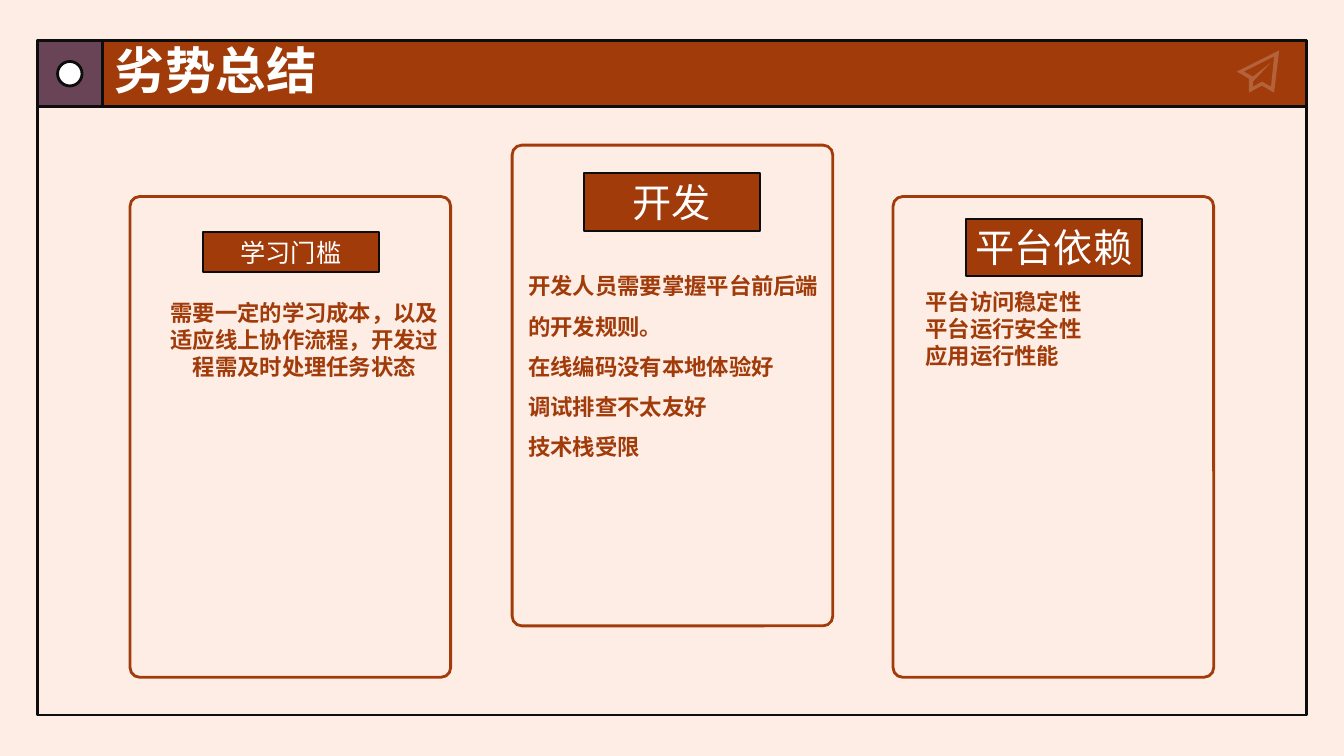
"""Build the slide that sums up the weaknesses in three cards."""
import pptx
import pptx.dml.color
import pptx.enum.shapes
import pptx.enum.text
import pptx.oxml.ns
import pptx.util
from lxml import etree

Pt = pptx.util.Pt
SHAPES = pptx.enum.shapes.MSO_SHAPE
ALIGN = pptx.enum.text.PP_ALIGN
ANCHOR = pptx.enum.text.MSO_ANCHOR
RUST, INK, WHITE = "A13B0A", "0D0D0D", "FFFFFF"

presentation = pptx.Presentation()
presentation.slide_width = Pt(960)
presentation.slide_height = Pt(540)
slide = presentation.slides.add_slide(presentation.slide_layouts[6])


def paint(target, color):
    target.solid()
    target.fore_color.rgb = pptx.dml.color.RGBColor.from_string(color)


def add_box(kind, left, top, width, height, fill, line, weight):
    shape = slide.shapes.add_shape(kind, Pt(left), Pt(top), Pt(width), Pt(height))
    shape.shadow.inherit = False
    if fill:
        paint(shape.fill, fill)
    else:
        shape.fill.background()
    paint(shape.line.fill, line)
    shape.line.width = Pt(weight)
    return shape


paint(slide.background.fill, "FDEDE5")

for kind, left, top, width, height, fill in [
    (SHAPES.RECTANGLE, 26.5, 29, 907, 481.7, None),
    (SHAPES.RECTANGLE, 26.5, 29, 47.2, 47.2, "684456"),
    (SHAPES.RECTANGLE, 73.5, 29.2, 860, 47, RUST),
    (SHAPES.OVAL, 41.1, 43.9, 17.5, 17.5, WHITE),
]:
    add_box(kind, left, top, width, height, fill, INK, 2)

plane_outline = [(913.7, 36), (910.1, 66.2), (901.4, 61.2), (892.1, 66.2),
                 (892.1, 56.2), (883.4, 51.1)]
plane_hole = [(895, 54.7), (907.9, 44.6), (895, 58.3), (895, 61.9),
              (901.4, 58.3), (907.9, 61.9), (910.1, 40.3), (888.5, 51.1)]
builder = slide.shapes.build_freeform(Pt(plane_outline[0][0]), Pt(plane_outline[0][1]))
builder.add_line_segments([(Pt(x), Pt(y)) for x, y in plane_outline[1:]])
builder.move_to(Pt(plane_hole[0][0]), Pt(plane_hole[0][1]))
builder.add_line_segments([(Pt(x), Pt(y)) for x, y in plane_hole[1:]])
plane = builder.convert_to_shape()
plane.shadow.inherit = False
paint(plane.fill, WHITE)
plane.line.fill.background()
plane_color = plane.fill._xPr.find(".//" + pptx.oxml.ns.qn("a:srgbClr"))
etree.SubElement(plane_color, pptx.oxml.ns.qn("a:alpha"), val="20000")


def write(shape, lines, size, color, bold, align, anchor, spacing=None, margins=(0, 0)):
    frame = shape.text_frame
    frame.word_wrap = True
    frame.margin_left = frame.margin_right = Pt(margins[0])
    frame.margin_top = frame.margin_bottom = Pt(margins[1])
    frame.vertical_anchor = anchor
    frame.text = "\n".join(lines)
    for paragraph in frame.paragraphs:
        paragraph.alignment = align
        paragraph.line_spacing = spacing
        paragraph.font.name = "Arial"
        paragraph.font.size = Pt(size)
        paragraph.font.bold = bold
        paint(paragraph.font.fill, color)


title = slide.shapes.add_textbox(Pt(75), Pt(23.8), Pt(371.5), Pt(51))
write(title, ["劣势总结"], 36, WHITE, True, ALIGN.LEFT, ANCHOR.BOTTOM, margins=(7.2, 3.6))

cards = [
    (92.9, 140.4, "学习门槛", 18, (144.7, 165.6, 28.8),
     ["需要一定的学习成本，以及适应线上协作流程，开发过程需及时处理任务状态"],
     (114.5, 213.8, 206, 58.3), ALIGN.CENTER, None),
    (365.8, 103.7, "开发", 28, (416.9, 123.8, 41),
     ["开发人员需要掌握平台前后端的开发规则。", "在线编码没有本地体验好",
      "调试排查不太友好", "技术栈受限"],
     (377.3, 185, 209.5, 141.8), ALIGN.LEFT, 1.5),
    (637.9, 140.4, "平台依赖", 28, (689.8, 156.2, 41),
     ["平台访问稳定性", "平台运行安全性", "应用运行性能"],
     (661, 205.9, 206, 58.3), ALIGN.LEFT, None),
]
for left, top, heading, size, label_place, lines, body_place, align, spacing in cards:
    card = add_box(SHAPES.ROUNDED_RECTANGLE, left, top, 229, 343.4, None, RUST, 2)
    card.adjustments[0] = 0.03
    body = slide.shapes.add_textbox(*[Pt(length) for length in body_place])
    write(body, lines, 16, RUST, True, align, ANCHOR.TOP, spacing)
    label_left, label_top, label_height = label_place
    label = add_box(SHAPES.RECTANGLE, label_left, label_top, 126, label_height, RUST, INK, 1.5)
    write(label, [heading], size, WHITE, False, ALIGN.CENTER, ANCHOR.MIDDLE)
    if size == 18:
        label.text_frame.paragraphs[0].font.name = "Cabin"

presentation.save("out.pptx")
